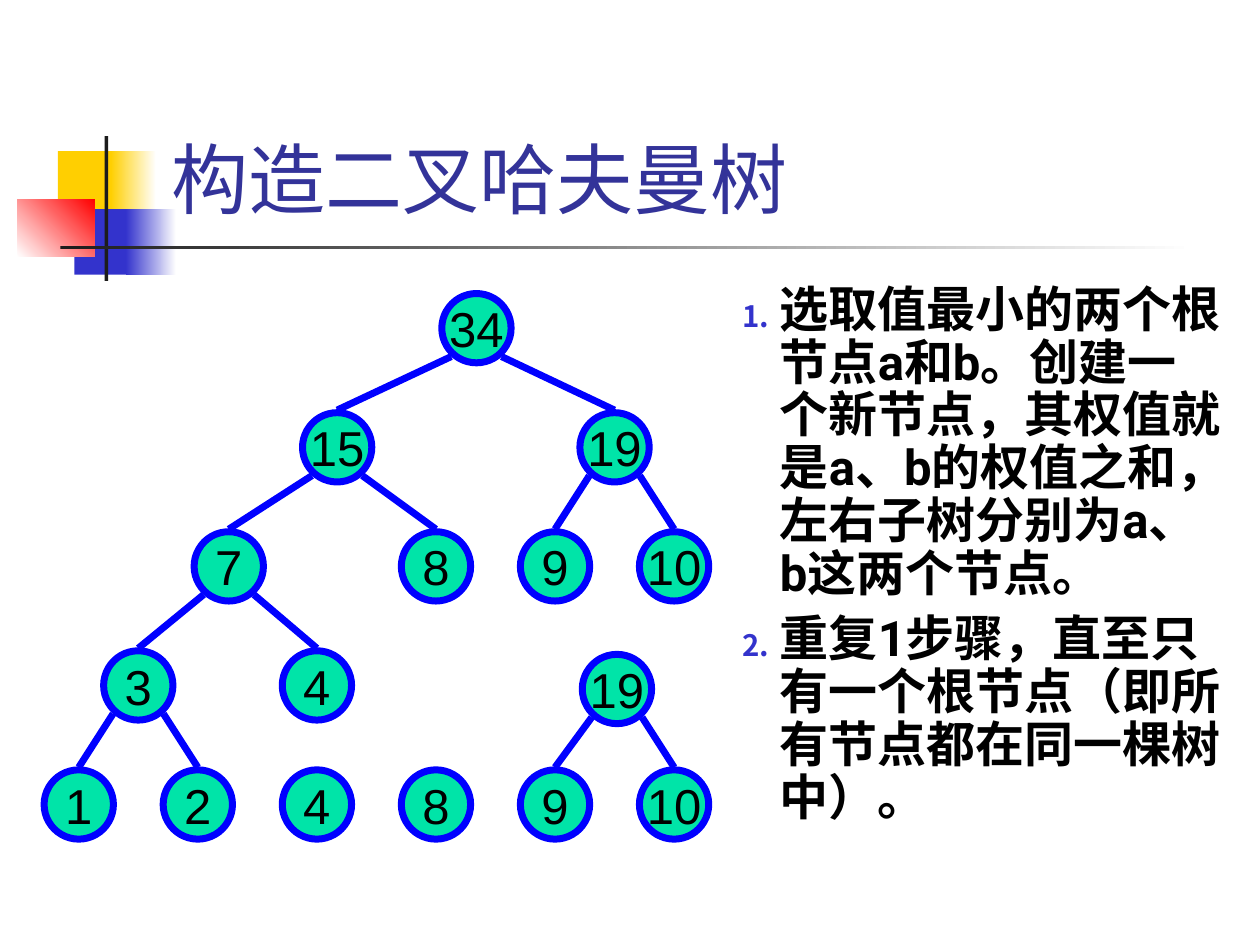
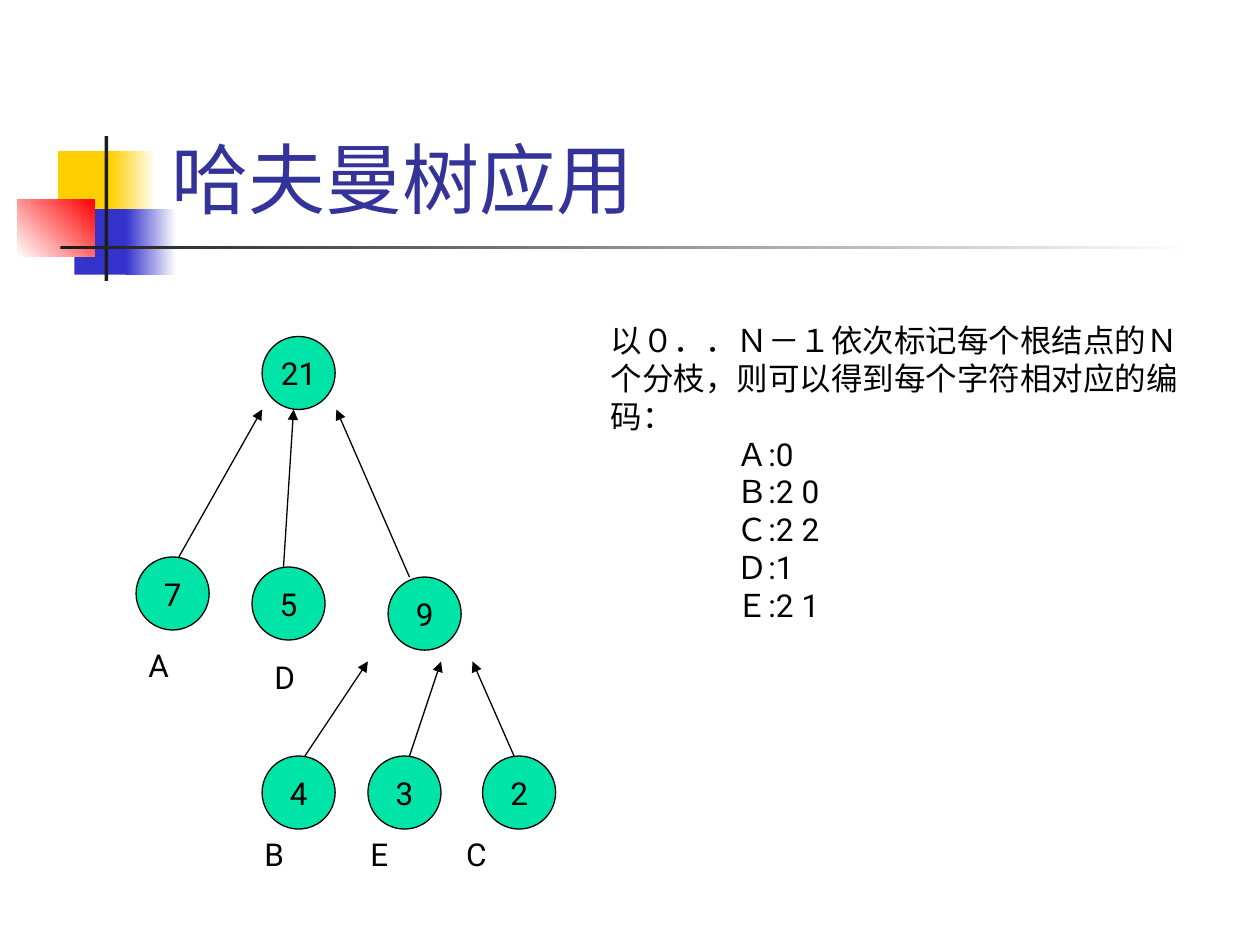
from lxml import etree
from pptx import Presentation
from pptx.dml.color import RGBColor
from pptx.enum import shapes, text
from pptx.oxml.ns import qn
from pptx.util import Inches, Pt

GREEN, BLUE, BLACK, WHITE = "00E4A8", "0000FF", "000000", "FFFFFF"
GOLD, NAVY, RED, DARK, INK = "FFCF01", "3333CC", "FF0000", "1C1C1C", "333399"
FONT = "Roboto"

# left, top, width, height, colours, gradient angle
BANDS = [
    (0.46, 1.2, 0.48, 0.52, [GOLD], 0),
    (0.88, 1.2, 0.36, 0.52, [GOLD, WHITE], 0),
    (0.59, 1.66, 0.46, 0.52, [NAVY], 0),
    (1, 1.66, 0.4, 0.52, [NAVY, WHITE], 0),
    (0.14, 1.58, 0.61, 0.46, [WHITE, RED], 45),
    (0.83, 1.08, 0.03, 1.15, [DARK], 0),
    (0.48, 1.95, 9, 0.03, [DARK, WHITE], 0),
]


def rgb(code):
    return RGBColor.from_string(code)


def child(parent, tag, **attrs):
    return etree.SubElement(parent, qn(tag), attrs)


class Deck:
    def __init__(self):
        self.prs = Presentation()
        self.prs.slide_width, self.prs.slide_height = Inches(10), Inches(7.5)
        self.slide = None

    def start(self, title, layout):
        self.slide = self.prs.slides.add_slide(self.prs.slide_layouts[layout])
        for band in BANDS:
            self.band(*band)
        head = self.slide.shapes.title
        self.move(head, 1.26, 0.23, 8.52, 1.6)
        frame = head.text_frame
        frame.text = title
        frame.auto_size = text.MSO_AUTO_SIZE.NONE
        frame.vertical_anchor = text.MSO_ANCHOR.BOTTOM
        frame.paragraphs[0].alignment = text.PP_ALIGN.LEFT
        self.style(frame.paragraphs[0], 44, INK)

    def move(self, shape, x, y, w, h):
        shape.left, shape.top = Inches(x), Inches(y)
        shape.width, shape.height = Inches(w), Inches(h)

    def style(self, para, size, color=BLACK, name=FONT, bold=False):
        font = para.font
        font.size, font.name, font.bold = Pt(size), name, bold
        font.color.rgb = rgb(color)

    def shape(self, kind, x, y, w, h):
        item = self.slide.shapes.add_shape(
            kind, Inches(x), Inches(y), Inches(w), Inches(h))
        item.shadow.inherit = False
        return item

    def band(self, x, y, w, h, colors, angle):
        item = self.shape(shapes.MSO_SHAPE.RECTANGLE, x, y, w, h)
        item.line.fill.background()
        if len(colors) == 1:
            item.fill.solid()
            item.fill.fore_color.rgb = rgb(colors[0])
            return
        item.fill.gradient()
        item.fill.gradient_angle = angle
        for stop, color, place in zip(item.fill.gradient_stops, colors, (0, 1)):
            stop.color.rgb = rgb(color)
            stop.position = place

    def node(self, label, x, y, side, line, width, size, name=FONT):
        item = self.shape(shapes.MSO_SHAPE.OVAL, x, y, side, side)
        item.fill.solid()
        item.fill.fore_color.rgb = rgb(GREEN)
        item.line.color.rgb, item.line.width = rgb(line), Pt(width)
        frame = item.text_frame
        frame.text = label
        frame.word_wrap = False
        frame.vertical_anchor = text.MSO_ANCHOR.MIDDLE
        frame.paragraphs[0].alignment = text.PP_ALIGN.CENTER
        self.style(frame.paragraphs[0], size, name=name)

    def edge(self, start, end, color, width, arrow=False):
        item = self.slide.shapes.add_connector(
            shapes.MSO_CONNECTOR.STRAIGHT, *map(Inches, start + end))
        item.line.color.rgb, item.line.width = rgb(color), Pt(width)
        if arrow:
            child(item.line._get_or_add_ln(), "a:tailEnd", type="triangle")
        child(item._element.spPr, "a:effectLst")

    def steps(self, lines):
        """Fill the body placeholder with a numbered list."""
        body = self.slide.placeholders[1]
        self.move(body, 5.79, 2.21, 4.01, 5.01)
        frame = body.text_frame
        frame.text = "\n".join(lines)
        frame.auto_size = text.MSO_AUTO_SIZE.NONE
        for i, para in enumerate(frame.paragraphs):
            para.line_spacing = 0.9
            para.space_before = Pt(7 if i else 0)
            props = para._p.get_or_add_pPr()
            props.set("marL", str(Inches(0.3)))
            props.set("indent", str(-Inches(0.3)))
            child(child(props, "a:buClr"), "a:srgbClr", val=NAVY)
            child(props, "a:buSzPct", val="60000")
            child(props, "a:buAutoNum", type="arabicPeriod")
            self.style(para, 28, bold=True)

    def note(self, lines, x, y, w, h, inset=0, tabs=()):
        """Add a text box; inset indents every line after the first."""
        box = self.slide.shapes.add_textbox(
            Inches(x), Inches(y), Inches(w), Inches(h))
        frame = box.text_frame
        frame.text = "\n".join(lines)
        frame.word_wrap = True
        frame.auto_size = text.MSO_AUTO_SIZE.SHAPE_TO_FIT_TEXT
        for i, para in enumerate(frame.paragraphs):
            props = para._p.get_or_add_pPr()
            if i:
                props.set("marL", str(Inches(inset)))
            if tabs:
                stops = child(props, "a:tabLst")
                for tab in tabs:
                    child(stops, "a:tab", pos=str(Inches(tab)), algn="l")
            self.style(para, 18)


def build_tree(deck):
    deck.start("构造二叉哈夫曼树", 1)
    deck.steps([
        "选取值最小的两个根节点a和b。创建一个新节点，其权值就是a、b的权值之和，"
        "左右子树分别为a、b这两个节点。",
        "重复1步骤，直至只有一个根节点（即所有节点都在同一棵树中）。",
    ])
    side, step = 0.55, 0.945
    # key: label, column, row
    nodes = {
        "1": ("1", 0, 4), "2": ("2", 1, 4), "4": ("4", 2, 3),
        "9": ("9", 4, 2), "10": ("10", 5, 2), "8": ("8", 3, 2),
        "3": ("3", 0.5, 3), "7": ("7", 1.26, 2), "19": ("19", 4.5, 1),
        "15": ("15", 2.17, 1), "34": ("34", 3.34, 0),
        "4 leaf": ("4", 2, 4), "9 leaf": ("9", 4, 4),
        "10 leaf": ("10", 5, 4), "8 leaf": ("8", 3, 4),
        "19 low": ("19", 4.52, 3.03),
    }
    pairs = {
        "34": ("15", "19"), "15": ("7", "8"), "19": ("9", "10"),
        "7": ("3", "4"), "3": ("1", "2"), "19 low": ("9 leaf", "10 leaf"),
    }
    spots = {key: (0.35 + step * col, 2.33 + step * row)
             for key, (_, col, row) in nodes.items()}
    mid = side / 2
    for top, kids in pairs.items():
        x, y = spots[top]
        for kid, shift in zip(kids, (-0.2, 0.2)):
            left, high = spots[kid]
            deck.edge((x + mid + shift, y + 0.5),
                      (left + mid, high - 0.02), BLUE, 4)
    for key, (label, *_) in nodes.items():
        deck.node(label, *spots[key], side, BLUE, 4, 28, "Arial")


def build_codes(deck):
    deck.start("哈夫曼树应用", 5)
    nodes = [("7", 1.08, 4.42), ("5", 2, 4.5), ("9", 3.08, 4.58),
             ("4", 2.08, 6), ("3", 2.92, 6), ("2", 3.83, 6), ("21", 2.08, 2.67)]
    arrows = [((3.25, 6), (3.5, 5.25)), ((4.08, 6), (3.75, 5.25)),
              ((2.42, 6), (2.92, 5.25)), ((1.42, 4.42), (2.08, 3.25)),
              ((2.25, 4.5), (2.33, 3.25)), ((3.25, 4.58), (2.67, 3.25))]
    for label, x, y in nodes:
        deck.node(label, x, y, 0.58, BLACK, 0.75, 18)
    for start, end in arrows:
        deck.edge(start, end, BLACK, 0.75, arrow=True)
    deck.note(["A"], 1.08, 5.08, 0.58, 0.4)
    deck.note(["D"], 2.08, 5.17, 0.42, 0.4)
    deck.note(["B\tE\tC"], 2, 6.58, 2.92, 0.4, tabs=(0.84, 1.6))
    deck.note(["以０．．Ｎ－１依次标记每个根结点的Ｎ个分枝，则可以得到每个字符相对应的编码：",
               "Ａ:0", "Ｂ:2 0", "Ｃ:2 2", "Ｄ:1", "Ｅ:2 1"],
              4.75, 2.5, 4.75, 2.5, inset=1)


def main():
    deck = Deck()
    build_tree(deck)
    build_codes(deck)
    deck.prs.save("out.pptx")


if __name__ == "__main__":
    main()
